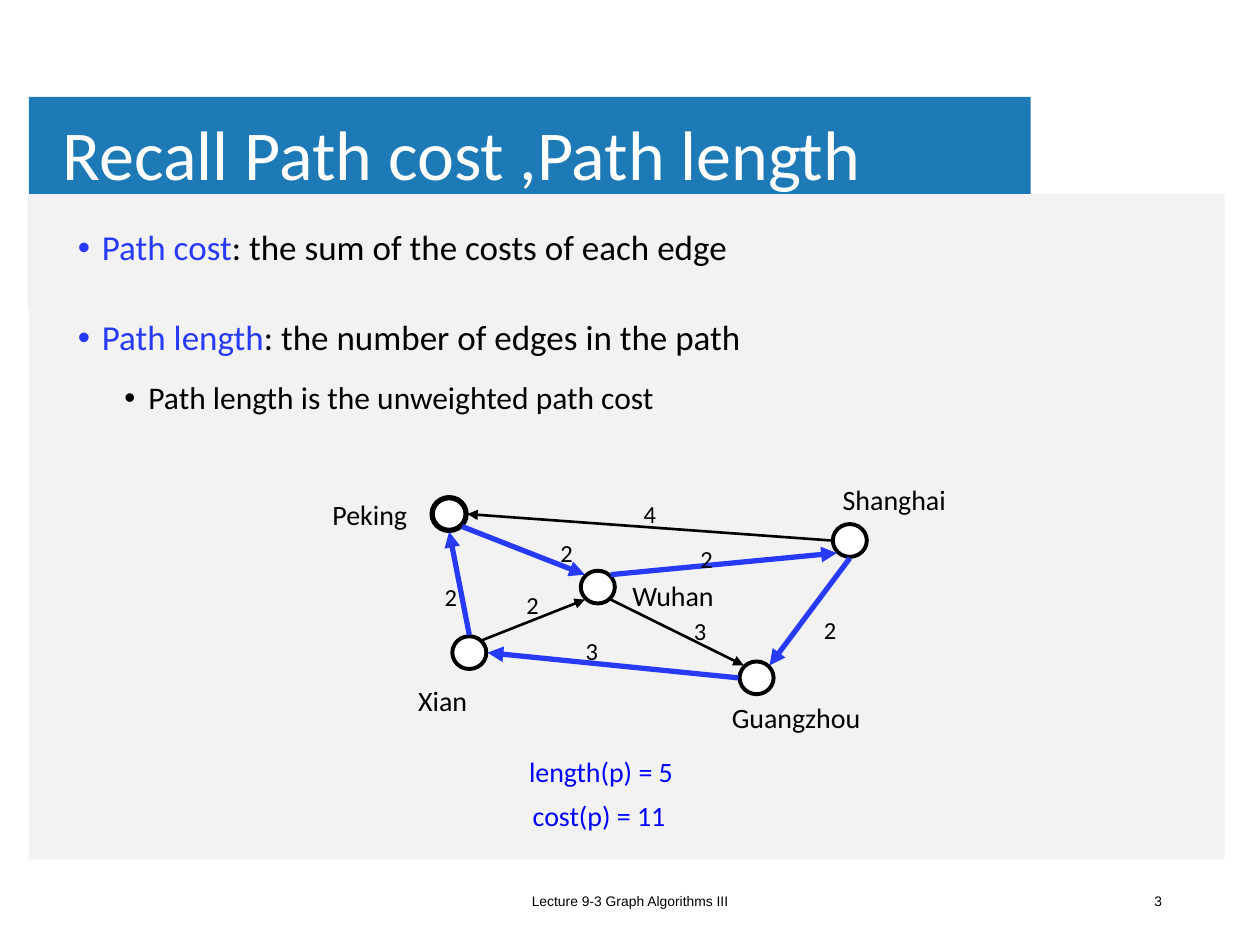
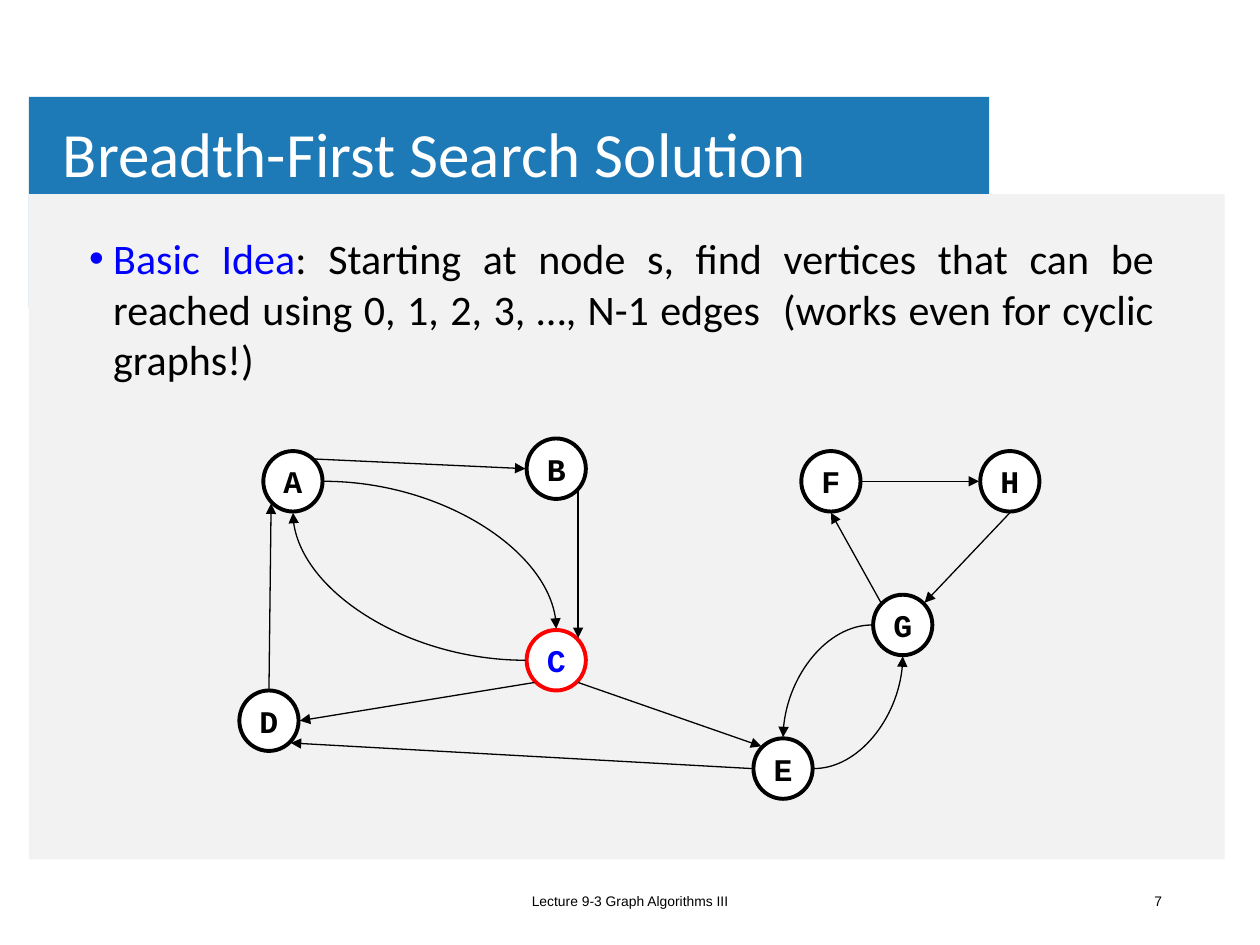
"""Build two slides on path cost and breadth-first search."""
from dataclasses import dataclass
from math import hypot
from typing import NamedTuple

from lxml.etree import SubElement
from pptx import Presentation
from pptx.dml.color import RGBColor
from pptx.enum.shapes import MSO_CONNECTOR as Wire, MSO_SHAPE as Form
from pptx.enum.text import MSO_ANCHOR as Anchor, PP_ALIGN as Align
from pptx.oxml.ns import qn
from pptx.util import Inches, Pt


@dataclass(frozen=True)
class Theme:
    band: str = "1E7AB6"
    panel: str = "F2F2F2"
    white: str = "FFFFFF"
    ink: str = "000000"
    route: str = "263AF8"
    blue: str = "0000FF"
    red: str = "FF0000"
    sans: str = "Calibri"
    mono: str = "Courier New"
    small: str = "Arial"
    foot: float = 7.9
    weight: float = 14
    label: float = 16
    node: float = 18


THEME = Theme()


class Box(NamedTuple):
    left: float
    top: float
    width: float
    height: float


class Run(NamedTuple):
    text: str
    color: str = THEME.ink


@dataclass(frozen=True)
class Item:
    runs: tuple[Run, ...]
    size: float
    level: int = 0
    before: float = 0
    spacing: float = 0.9
    align: Align = Align.LEFT


@dataclass(frozen=True)
class Node:
    left: float
    top: float
    text: str = ""
    color: str = THEME.ink
    line: str = THEME.ink
    stroke: float = 2.25


@dataclass(frozen=True)
class Edge:
    start: str
    leave: str
    end: str
    enter: str
    color: str = THEME.ink
    stroke: float = 0.75
    curved: bool = False


@dataclass(frozen=True)
class Graph:
    nodes: dict[str, Node]
    edges: tuple[Edge, ...]
    width: float
    height: float


class Note(NamedTuple):
    text: str
    left: float
    top: float
    width: float = 0.33
    height: float = 0.34
    size: float = THEME.weight
    color: str = THEME.ink


GAP = 0.01
INDENT = Inches(0.19)
LEVELS = (Inches(0.19), Inches(0.56))
SIDES = {"N": (0, -1), "E": (1, 0), "S": (0, 1), "W": (-1, 0),
         "NE": (1, -1), "SE": (1, 1), "SW": (-1, 1), "NW": (-1, -1)}


def tint(text: str) -> RGBColor:
    return RGBColor.from_string(text)


def place(box: Box) -> tuple:
    return tuple(Inches(part) for part in box)


def style(font, size: float, color: str, name: str = THEME.sans, bold: bool = False) -> None:
    font.size, font.name, font.bold = Pt(size), name, bold
    font.color.rgb = tint(color)


def draw_shape(slide, form: Form, box: Box, fill: str):
    shape = slide.shapes.add_shape(form, *place(box))
    shape.shadow.inherit = False
    shape.fill.solid()
    shape.fill.fore_color.rgb = tint(fill)
    shape.line.fill.background()
    return shape


def draw_text(slide, box: Box, text: str, size: float, color: str = THEME.ink,
              name: str = THEME.sans, align: Align = Align.LEFT, anchor: Anchor = Anchor.TOP):
    frame = slide.shapes.add_textbox(*place(box)).text_frame
    frame.word_wrap, frame.vertical_anchor = True, anchor
    frame.text = text
    line = frame.paragraphs[0]
    line.alignment = align
    style(line.runs[0].font, size, color, name)
    return frame


def draw_base(deck, title: str, size: float, width: float, number: str):
    slide = deck.slides.add_slide(deck.slide_layouts[6])
    draw_shape(slide, Form.RECTANGLE, Box(0.23, 0.77, width, 1.67), THEME.band)
    draw_shape(slide, Form.RECTANGLE, Box(0.23, 1.54, 9.49, 5.28), THEME.panel)
    frame = draw_text(slide, Box(0.43, 0.76, 8.03, 0.98), title, size, THEME.white,
                      anchor=Anchor.MIDDLE)
    frame.margin_left = frame.margin_right = Inches(0.07)
    frame.margin_top = frame.margin_bottom = Inches(0.04)
    frame.paragraphs[0].line_spacing = 0.9
    for box, text, align in ((Box(3.31, 6.95, 3.38, 0.4), "Lecture 9-3 Graph Algorithms III", Align.CENTER),
                             (Box(7.07, 6.95, 2.25, 0.4), number, Align.RIGHT)):
        draw_text(slide, box, text, THEME.foot, THEME.ink, THEME.small, align, Anchor.MIDDLE)
    return slide


def draw_list(slide, box: Box, items: tuple[Item, ...]) -> None:
    frame = slide.shapes.add_textbox(*place(box)).text_frame
    frame.word_wrap = True
    for index, item in enumerate(items):
        line = frame.add_paragraph() if index else frame.paragraphs[0]
        props = line._p.get_or_add_pPr()
        props.set("marL", str(LEVELS[item.level]))
        props.set("indent", str(-INDENT))
        SubElement(props, qn("a:buFont"), typeface=THEME.small)
        SubElement(props, qn("a:buChar"), char="•")
        line.level, line.alignment = item.level, item.align
        line.line_spacing, line.space_before = item.spacing, Pt(item.before)
        for part in item.runs:
            run = line.add_run()
            run.text = part.text
            style(run.font, item.size, part.color)


def find_end(graph: Graph, key: str, side: str) -> tuple:
    node, (across, down) = graph.nodes[key], SIDES[side]
    unit = hypot(across, down)
    half_wide, half_high = graph.width / 2, graph.height / 2
    return (Inches(node.left + half_wide + (half_wide + GAP) * across / unit),
            Inches(node.top + half_high + (half_high + GAP) * down / unit))


def draw_edge(slide, graph: Graph, edge: Edge) -> None:
    wire = slide.shapes.add_connector(Wire.CURVE if edge.curved else Wire.STRAIGHT,
                                      *find_end(graph, edge.start, edge.leave),
                                      *find_end(graph, edge.end, edge.enter))
    wire.line.width = Pt(edge.stroke)
    wire.line.color.rgb = tint(edge.color)
    props = wire._element.spPr
    SubElement(wire.line._get_or_add_ln(), qn("a:tailEnd"), type="triangle")
    SubElement(props, qn("a:effectLst"))
    if edge.curved:
        props.find(qn("a:prstGeom")).set("prst", "curvedConnector2")
        turn = props.get_or_add_xfrm()
        if turn.flipH:
            turn.flipH, turn.flipV, turn.rot = False, not turn.flipV, 180.0


def draw_graph(slide, graph: Graph) -> None:
    for node in graph.nodes.values():
        shape = draw_shape(slide, Form.OVAL, Box(node.left, node.top, graph.width, graph.height),
                           THEME.white)
        shape.line.color.rgb = tint(node.line)
        shape.line.width = Pt(node.stroke)
        if node.text:
            frame = shape.text_frame
            frame.word_wrap, frame.vertical_anchor = False, Anchor.MIDDLE
            frame.text = node.text
            frame.paragraphs[0].alignment = Align.CENTER
            style(frame.paragraphs[0].runs[0].font, THEME.node, node.color, THEME.mono, True)
    for edge in graph.edges:
        draw_edge(slide, graph, edge)


def thick(*ends: str) -> Edge:
    return Edge(*ends, color=THEME.route, stroke=3)


def thin(*ends: str) -> Edge:
    return Edge(*ends, stroke=1.5)


def curve(*ends: str) -> Edge:
    return Edge(*ends, curved=True)


def city(text: str, left: float, top: float, width: float, color: str = THEME.ink) -> Note:
    return Note(text, left, top, width, 0.37, THEME.label, color)


CITIES = Graph(
    {"Xian": Node(3.59, 5.05), "Peking": Node(3.43, 3.95, stroke=3), "Wuhan": Node(4.61, 4.53),
     "Guangzhou": Node(5.87, 5.25), "Shanghai": Node(6.61, 4.16)},
    (thick("Xian", "N", "Peking", "S"), thick("Shanghai", "S", "Guangzhou", "NE"),
     thin("Shanghai", "W", "Peking", "E"), thick("Peking", "SE", "Wuhan", "NW"),
     thin("Xian", "NE", "Wuhan", "SW"), thin("Wuhan", "SE", "Guangzhou", "NW"),
     thick("Wuhan", "NE", "Shanghai", "SW"), thick("Guangzhou", "W", "Xian", "E")),
    0.27, 0.26)
NOTES = (
    city("Peking", 2.54, 3.9, 0.92), city("Xian", 3.22, 5.38, 0.69),
    city("Guangzhou", 5.71, 5.51, 1.37), city("Shanghai", 6.59, 3.78, 1.17),
    city("Wuhan", 4.92, 4.54, 1.02),
    Note("4", 5.01, 3.91), Note("2", 4.35, 4.22), Note("2", 5.46, 4.27), Note("2", 6.44, 4.83),
    Note("3", 4.55, 5), Note("2", 3.43, 4.57), Note("2", 4.08, 4.63), Note("3", 5.41, 4.84),
    city("length(p) = 5", 4.1, 5.94, 1.59, THEME.blue),
    city("cost(p) = 11", 4.13, 6.29, 1.43, THEME.blue))
SEARCH = Graph(
    {"A": Node(2.09, 3.58, "A"), "C": Node(4.18, 5, "C", THEME.blue, THEME.red),
     "B": Node(4.18, 3.48, "B"), "D": Node(1.9, 5.48, "D"), "F": Node(6.36, 3.58, "F"),
     "H": Node(7.78, 3.58, "H"), "G": Node(6.93, 4.72, "G"), "E": Node(5.98, 5.86, "E")},
    (curve("A", "E", "C", "N"), curve("C", "W", "A", "S"),
     Edge("A", "NE", "B", "W"), Edge("B", "SE", "C", "NE"), Edge("C", "SW", "D", "E"),
     Edge("D", "N", "A", "SW"), Edge("C", "SE", "E", "NW"), Edge("E", "W", "D", "SE"),
     Edge("G", "NW", "F", "S"), Edge("F", "E", "H", "W"), Edge("H", "S", "G", "NE"),
     curve("G", "W", "E", "N"), curve("E", "E", "G", "S")),
    0.47, 0.48)


def draw_cost(deck) -> None:
    slide = draw_base(deck, "Recall Path cost ,Path length", 40, 7.95, "3")
    draw_list(slide, Box(0.52, 1.78, 8.8, 1.64), (
        Item((Run("Path cost", THEME.route), Run(": the sum of the costs of each edge")), 20),
        Item((Run("Path length", THEME.route), Run(": the number of edges in the path")), 20, before=30),
        Item((Run("Path length is the unweighted path cost"),), 18, 1, 13.5)))
    draw_graph(slide, CITIES)
    for note in NOTES:
        draw_text(slide, Box(note.left, note.top, note.width, note.height),
                  note.text, note.size, note.color)


def draw_search(deck) -> None:
    slide = draw_base(deck, "Breadth-First Search Solution", 36, 7.62, "7")
    idea = ": Starting at node s, find vertices that can be reached using 0, 1, 2, 3, …, N-1 edges  (works even for cyclic graphs!)"
    draw_list(slide, Box(0.61, 1.8, 8.65, 1.74), (
        Item((Run("Basic Idea", THEME.blue), Run(idea)), 24, spacing=1, align=Align.JUSTIFY),))
    draw_graph(slide, SEARCH)


def main() -> None:
    deck = Presentation()
    deck.slide_width, deck.slide_height = Inches(10), Inches(7.5)
    draw_cost(deck)
    draw_search(deck)
    deck.save("out.pptx")


if __name__ == "__main__":
    main()
